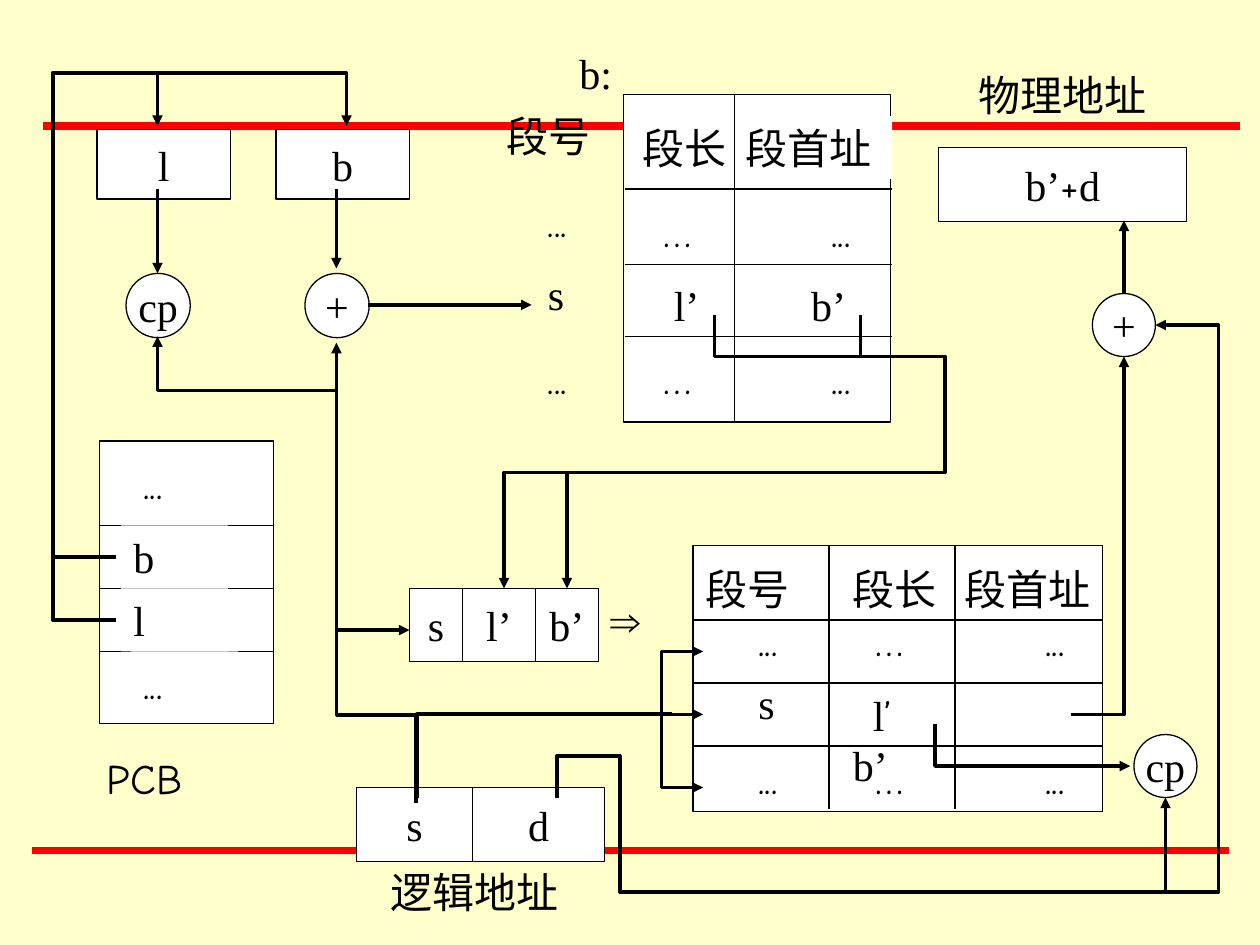
from pptx import Presentation
from pptx.dml.color import RGBColor
from pptx.enum.shapes import MSO_CONNECTOR, MSO_SHAPE
from pptx.enum.text import MSO_ANCHOR, MSO_AUTO_SIZE, PP_ALIGN
from pptx.oxml.ns import qn
from pptx.util import Inches, Pt
from lxml import etree

BLACK = RGBColor(0x00, 0x00, 0x00)
WHITE = RGBColor(0xFF, 0xFF, 0xFF)
RED = RGBColor(0xFF, 0x00, 0x00)
CREAM = RGBColor(0xFF, 0xFF, 0xCC)
RECT, OVAL = MSO_SHAPE.RECTANGLE, MSO_SHAPE.OVAL
STRAIGHT = MSO_CONNECTOR.STRAIGHT
CENTER, MIDDLE = PP_ALIGN.CENTER, MSO_ANCHOR.MIDDLE
GROW = MSO_AUTO_SIZE.SHAPE_TO_FIT_TEXT
SERIF, HAND, SANS = "Times New Roman", "Comic Neue", "Arial"
THIN, THICK = 0.75, 2

DOTS = [("...", HAND)]
ELLIPSIS = [("…", HAND)]
LENGTH = [("l", SERIF), ("’", HAND)]


def write(tf, runs):
    """Add runs to the first paragraph; a plain string is one serif run."""
    if isinstance(runs, str):
        runs = [(runs, SERIF)]
    p = tf.paragraphs[0]
    for text, font in runs:
        r = p.add_run()
        r.text = text
        r.font.name = font
        r.font.size = Pt(24)
        r.font.color.rgb = BLACK
    return p


def label(s, x, y, runs, w=0.6, h=0.5):
    tf = s.shapes.add_textbox(Inches(x), Inches(y), Inches(w), Inches(h)).text_frame
    tf.word_wrap = True
    tf.auto_size = GROW
    write(tf, runs)


def box(s, x, y, w, h, runs=None, kind=RECT, outlined=True, centered=True):
    sp = s.shapes.add_shape(kind, Inches(x), Inches(y), Inches(w), Inches(h))
    sp.shadow.inherit = False
    sp.fill.solid()
    sp.fill.fore_color.rgb = WHITE
    if outlined:
        sp.line.color.rgb = BLACK
        sp.line.width = Pt(THIN)
    else:
        sp.line.fill.background()
    if runs:
        tf = sp.text_frame
        tf.word_wrap = not centered
        tf.vertical_anchor = MIDDLE if centered else MSO_ANCHOR.TOP
        p = write(tf, runs)
        p.alignment = CENTER if centered else PP_ALIGN.LEFT


def line(s, points, width=THICK, color=BLACK, head=False, tail=False):
    """Draw a connector through two points, or an open path through more."""
    pts = [(Inches(x), Inches(y)) for x, y in points]
    if len(pts) == 2:
        sp = s.shapes.add_connector(STRAIGHT, *pts[0], *pts[1])
    else:
        builder = s.shapes.build_freeform(*pts[0])
        builder.add_line_segments(pts[1:], close=False)
        sp = builder.convert_to_shape()
        sp.fill.background()
    sp.line.color.rgb = color
    sp.line.width = Pt(width)
    spPr = sp.element.spPr
    ln = spPr.find(qn("a:ln"))
    for wanted, tag in ((head, "a:headEnd"), (tail, "a:tailEnd")):
        if wanted:
            etree.SubElement(ln, qn(tag), type="triangle")
    etree.SubElement(spPr, qn("a:effectLst"))


def arrow(s, *points):
    line(s, points, tail=True)


def rules(s, x1, x2, ys):
    for y in ys:
        line(s, [(x1, y), (x2, y)], THIN)


def dividers(s, y1, y2, xs):
    for x in xs:
        line(s, [(x, y1), (x, y2)], THIN)


def cells(s, edges, y, h, texts):
    """One bordered row, split at the inner edges, with centred texts."""
    box(s, edges[0], y, edges[-1] - edges[0], h)
    dividers(s, y, y + h, edges[1:-1])
    for left, right, text in zip(edges, edges[1:], texts):
        tf = s.shapes.add_textbox(Inches(left), Inches(y),
                                  Inches(right - left), Inches(h)).text_frame
        tf.word_wrap = False
        tf.vertical_anchor = MIDDLE
        write(tf, text).alignment = CENTER


def fast_table(s):
    """Associative table at the lower right."""
    box(s, 5.5, 4.33, 3.25, 2.11)
    rules(s, 5.5, 8.75, (4.92, 5.42, 5.92))
    dividers(s, 4.33, 6.42, (6.58, 7.58))
    for x, text, w in ((5.5, "段号", 1), (6.67, "段长", 1), (7.56, "段首址", 1.3)):
        label(s, x, 4.42, text, w)
    for y in (4.83, 5.92):
        for x, text in ((5.92, DOTS), (6.85, ELLIPSIS), (8.2, DOTS)):
            label(s, x, y, text)
    label(s, 5.92, 5.33, "s")
    label(s, 6.83, 5.42, LENGTH)
    label(s, 6.67, 5.82, "b’")


def segment_table(s):
    """Segment table at the top, with segment numbers to its left."""
    box(s, 4.95, 0.75, 2.12, 2.6)
    rules(s, 4.96, 7.08, (1.5, 2.1, 2.67))
    box(s, 5, 0.92, 2.08, 0.5, outlined=False)
    for x, y, text, w in ((3.92, 0.83, "段号", 1), (5, 0.92, "段长", 1),
                          (5.82, 0.92, "段首址", 1.3)):
        label(s, x, y, text, w)
    for y, number_y in ((1.58, 1.5), (2.75, 2.75)):
        label(s, 4.25, number_y, DOTS)
        label(s, 5.17, y, ELLIPSIS)
        label(s, 6.5, y, DOTS)
    label(s, 4.25, 2.08, "s")
    label(s, 5.25, 2.17, "l’")
    label(s, 6.34, 2.17, "b’")
    dividers(s, 0.75, 3.35, [5.83])
    label(s, 4.5, 0.33, "b:")


def process_block(s):
    """PCB and the registers that are loaded from it."""
    box(s, 0.77, 1.03, 1.06, 0.55, "l")
    box(s, 2.19, 1.03, 1.06, 0.55, "b")
    box(s, 0.79, 3.5, 1.38, 2.24)
    rules(s, 0.79, 2.17, (4.17, 4.67, 5.17))
    for x, y, text in ((0.96, 4.17, "b"), (0.96, 4.67, "l"),
                       (1.04, 3.58, DOTS), (1.04, 5.17, DOTS)):
        box(s, x, y, 0.85, 0.5, text, outlined=False, centered=False)
    label(s, 0.75, 5.92, [("PCB", HAND)], 1)
    for start_y, end_x in ((4.42, 2.75), (4.92, 1.25)):
        arrow(s, (0.92, start_y), (0.42, start_y), (0.42, 0.58),
              (end_x, 0.58), (end_x, 1))


def addresses(s):
    box(s, 7.45, 1.17, 1.97, 0.59, [("b’", SERIF), ("+", HAND), ("d", SERIF)])
    label(s, 7.67, 0.5, "物理地址", 1.67)
    cells(s, (2.83, 3.75, 4.8), 6.25, 0.59, ("s", "d"))
    label(s, 3, 6.83, "逻辑地址", 1.67)


def new_entry(s):
    """Entry copied from the segment table into the fast table."""
    line(s, [(6.83, 2.5), (6.83, 2.83)])
    arrow(s, (2.67, 5), (3.25, 5))
    cells(s, (3.25, 3.67, 4.25, 4.75), 4.67, 0.58, ("s", "l’", "b’"))
    label(s, 4.75, 4.67, [("⇒", SANS)], 0.5)
    arrow(s, (5.67, 2.5), (5.67, 2.83), (7.5, 2.83), (7.5, 3.75), (4, 3.75), (4, 4.67))
    arrow(s, (4.5, 3.75), (4.5, 4.67))


def offset_flow(s):
    arrow(s, (7.42, 5.75), (7.42, 6.08), (8.97, 6.08))
    box(s, 9, 5.83, 0.5, 0.5, "cp", OVAL)
    arrow(s, (4.42, 6.33), (4.42, 6), (4.92, 6), (4.92, 7.08), (9.25, 7.08), (9.25, 6.33))
    box(s, 8.67, 2.33, 0.5, 0.5, "+", OVAL)
    arrow(s, (8.5, 5.67), (8.92, 5.67), (8.92, 2.83))
    arrow(s, (9.25, 7.08), (9.67, 7.08), (9.67, 2.58), (9.17, 2.58))
    arrow(s, (8.92, 2.33), (8.92, 1.75))


def segment_flow(s):
    line(s, [(5.58, 5.17), (5.25, 5.17), (5.25, 6.25), (5.58, 6.25)], head=True, tail=True)
    arrow(s, (5.25, 5.67), (5.58, 5.67))
    line(s, [(3.31, 6.33), (3.31, 5.67), (5.33, 5.67)], 2.25)
    arrow(s, (3.33, 5.67), (2.67, 5.67), (2.67, 2.72))
    box(s, 2.42, 2.17, 0.51, 0.51, "+", OVAL)
    arrow(s, (2.67, 1.5), (2.67, 2.13))
    arrow(s, (2.92, 2.42), (4.22, 2.42))
    box(s, 1, 2.17, 0.51, 0.51, "cp", OVAL)
    arrow(s, (1.25, 1.5), (1.25, 2.17))
    arrow(s, (3.3, 6.37), (3.3, 5.68), (2.67, 5.68), (2.67, 3.1), (1.25, 3.1), (1.25, 2.67))


def main():
    prs = Presentation()
    prs.slide_width, prs.slide_height = Inches(10), Inches(7.5)
    s = prs.slides.add_slide(prs.slide_layouts[6])
    s.background.fill.solid()
    s.background.fill.fore_color.rgb = CREAM
    for x, y in ((0.25, 6.75), (0.34, 1)):
        line(s, [(x, y), (x + 9.5, y)], 4.5, RED)
    for draw in (fast_table, process_block, segment_table, addresses,
                 new_entry, offset_flow, segment_flow):
        draw(s)
    prs.save("out.pptx")


if __name__ == "__main__":
    main()
